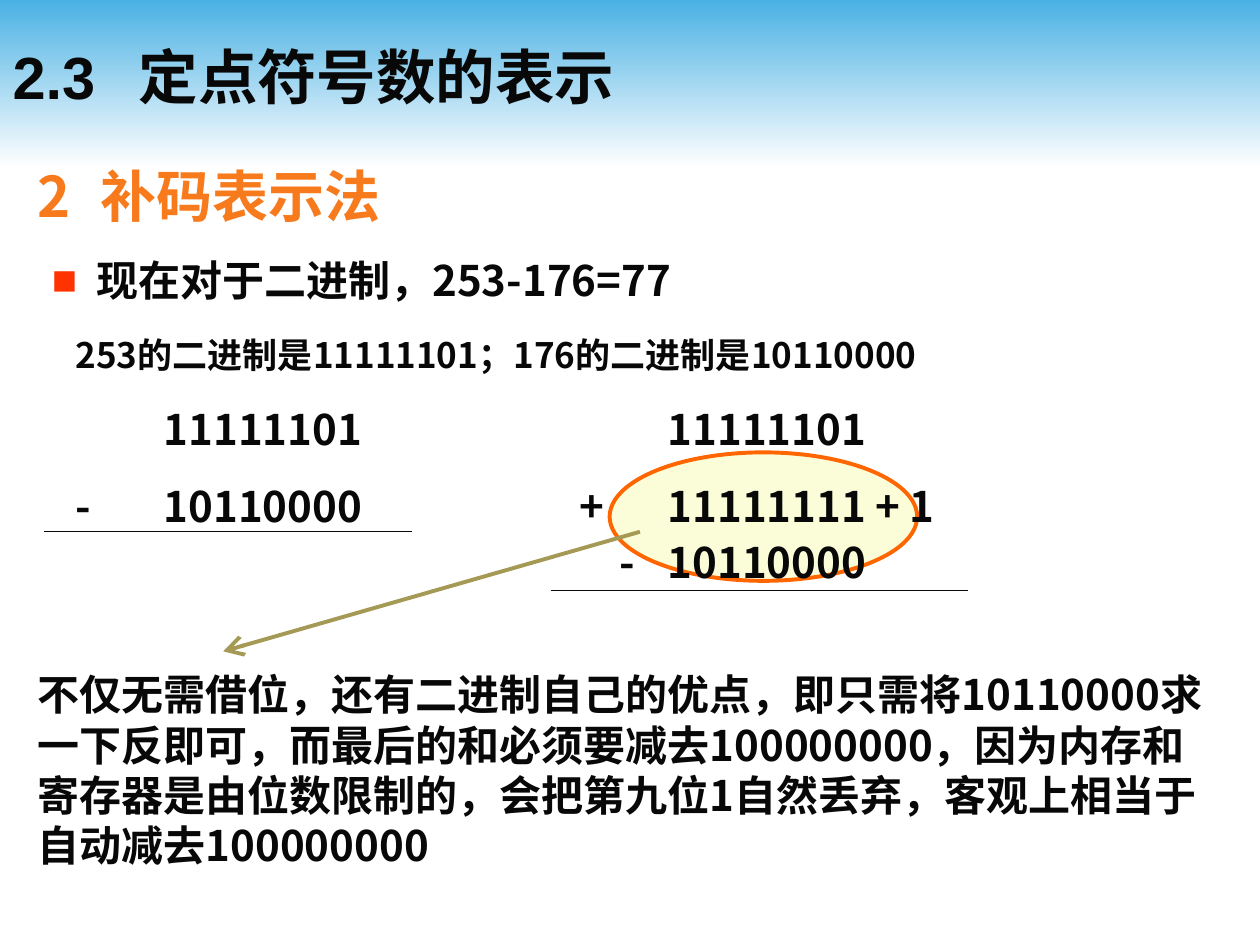
from lxml.etree import SubElement
from pptx import Presentation
from pptx.dml.color import RGBColor
from pptx.enum.shapes import MSO_CONNECTOR, MSO_SHAPE
from pptx.enum.text import MSO_ANCHOR, MSO_AUTO_SIZE, PP_ALIGN
from pptx.oxml.ns import qn
from pptx.util import Cm, Pt

THEME = {
    "latin": "Arial", "asian": "Noto Sans CJK JP",
    "ink": "080808", "heading": "F77A1D", "bullet": "FF3300",
    "band": "4AB1E4", "paper": "FFFFFF", "olive": "A59A55",
    "highlight": "FAFDD7", "ring": "FF6600",
    "title_size": 34, "heading_size": 32, "body_size": 24, "note_size": 20,
    "thin": 0.75, "thick": 2.25,
}

TITLE = {"text": "2.3\t定点符号数的表示", "size": "title_size", "font": "latin"}
BODY = [
    {"text": "2\t补码表示法", "size": "heading_size", "color": "heading"},
    {"text": "现在对于二进制，253-176=77", "before": 15, "bullet": "■", "left": 1.18, "indent": -0.9},
    {"text": "253的二进制是11111101；176的二进制是10110000", "size": "note_size", "before": 16.5, "left": 0.76},
    {"text": "\t\t11111101\t\t\t\t\t11111101", "before": 16},
    {"text": "\t\t10110000\t\t\t\t\t11111111 + 1", "before": 15},
    {"text": "\t" * 10 + "10110000", "before": 3},
    {"text": "不仅无需借位，还有二进制自己的优点，即只需将10110000求一下反即可，而最后的和必须要减去"
             "100000000，因为内存和寄存器是由位数限制的，会把第九位1自然丢弃，客观上相当于自动减去100000000",
     "before": 47},
]
SIGNS = [("-", 1.53, 9.68), ("+", 11.69, 9.68), ("-", 12.48, 10.81)]
SIGN_SIZE = (0.8, 1.02)
RULES = [(0.89, 10.72, 8.31), (11.1, 11.91, 19.51)]
ARROW = (12.9, 10.72, 4.5, 13.13)


def color(name):
    return RGBColor.from_string(THEME[name])


def write(paragraph, item):
    properties = paragraph._p.get_or_add_pPr()
    properties.set("marL", str(Cm(item.get("left", 0))))
    properties.set("indent", str(Cm(item.get("indent", 0))))
    if "bullet" in item:
        bullet_color = SubElement(properties, qn("a:buClr"))
        SubElement(bullet_color, qn("a:srgbClr"), val=THEME["bullet"])
        SubElement(properties, qn("a:buFont"), typeface=THEME["latin"])
        SubElement(properties, qn("a:buChar"), char=item["bullet"])
    else:
        SubElement(properties, qn("a:buNone"))
    paragraph.alignment = PP_ALIGN.LEFT
    paragraph.space_before = Pt(item.get("before", 0))
    paragraph.space_after = Pt(0)
    run = paragraph.add_run()
    run.text = item["text"]
    run.font.size = Pt(THEME[item.get("size", "body_size")])
    run.font.bold = True
    run.font.color.rgb = color(item.get("color", "ink"))
    run.font.name = THEME[item.get("font", "asian")]
    SubElement(run._r.get_or_add_rPr(), qn("a:ea"), typeface=THEME["asian"])


def fill_placeholder(shape, box, items, anchor):
    shape.left, shape.top, shape.width, shape.height = map(Cm, box)
    frame = shape.text_frame
    frame.word_wrap = True
    frame.auto_size = MSO_AUTO_SIZE.NONE
    frame.vertical_anchor = anchor
    for index, item in enumerate(items):
        write(frame.add_paragraph() if index else frame.paragraphs[0], item)


def add_sign(slide, text, left, top):
    frame = slide.shapes.add_textbox(*map(Cm, (left, top, *SIGN_SIZE))).text_frame
    frame.margin_left = frame.margin_right = frame.margin_top = frame.margin_bottom = 0
    frame.word_wrap = True
    write(frame.paragraphs[0], {"text": text})


def add_backdrop(slide, kind, box, depth):
    shape = slide.shapes.add_shape(kind, *map(Cm, box))
    shape.shadow.inherit = False
    slide.shapes._spTree.insert(2 + depth, shape._element)
    return shape


def add_line(slide, ends, line_color, width):
    connector = slide.shapes.add_connector(MSO_CONNECTOR.STRAIGHT, *map(Cm, ends))
    connector.line.color.rgb = color(line_color)
    connector.line.width = Pt(THEME[width])
    SubElement(connector._element.spPr, qn("a:effectLst"))
    return connector


def main():
    presentation = Presentation()
    presentation.slide_width, presentation.slide_height = Cm(25.4), Cm(19.05)
    slide = presentation.slides.add_slide(presentation.slide_layouts[1])

    band = add_backdrop(slide, MSO_SHAPE.RECTANGLE, (0, 0, 25.4, 3.38), 0)
    band.line.fill.background()
    band.fill.gradient()
    band.fill.gradient_angle = 270
    for stop, name, position in zip(band.fill.gradient_stops, ("band", "paper"), (0, 1)):
        stop.color.rgb = color(name)
        stop.position = position

    ellipse = add_backdrop(slide, MSO_SHAPE.OVAL, (12.29, 9.12, 6.2, 2.59), 1)
    ellipse.fill.solid()
    ellipse.fill.fore_color.rgb = color("highlight")
    ellipse.line.color.rgb = color("ring")
    ellipse.line.width = Pt(THEME["thick"])

    fill_placeholder(slide.shapes.title, (0, 0.53, 25.4, 2.01), [TITLE], MSO_ANCHOR.MIDDLE)
    fill_placeholder(slide.placeholders[1], (0.51, 3.12, 24.41, 15.9), BODY, MSO_ANCHOR.TOP)

    for sign in SIGNS:
        add_sign(slide, *sign)
    for left, top, right in RULES:
        add_line(slide, (left, top, right, top), "ink", "thin")
    arrow = add_line(slide, ARROW, "olive", "thick")
    SubElement(arrow.line._get_or_add_ln(), qn("a:tailEnd"), type="arrow", w="lg", len="lg")

    presentation.save("out.pptx")


if __name__ == "__main__":
    main()
